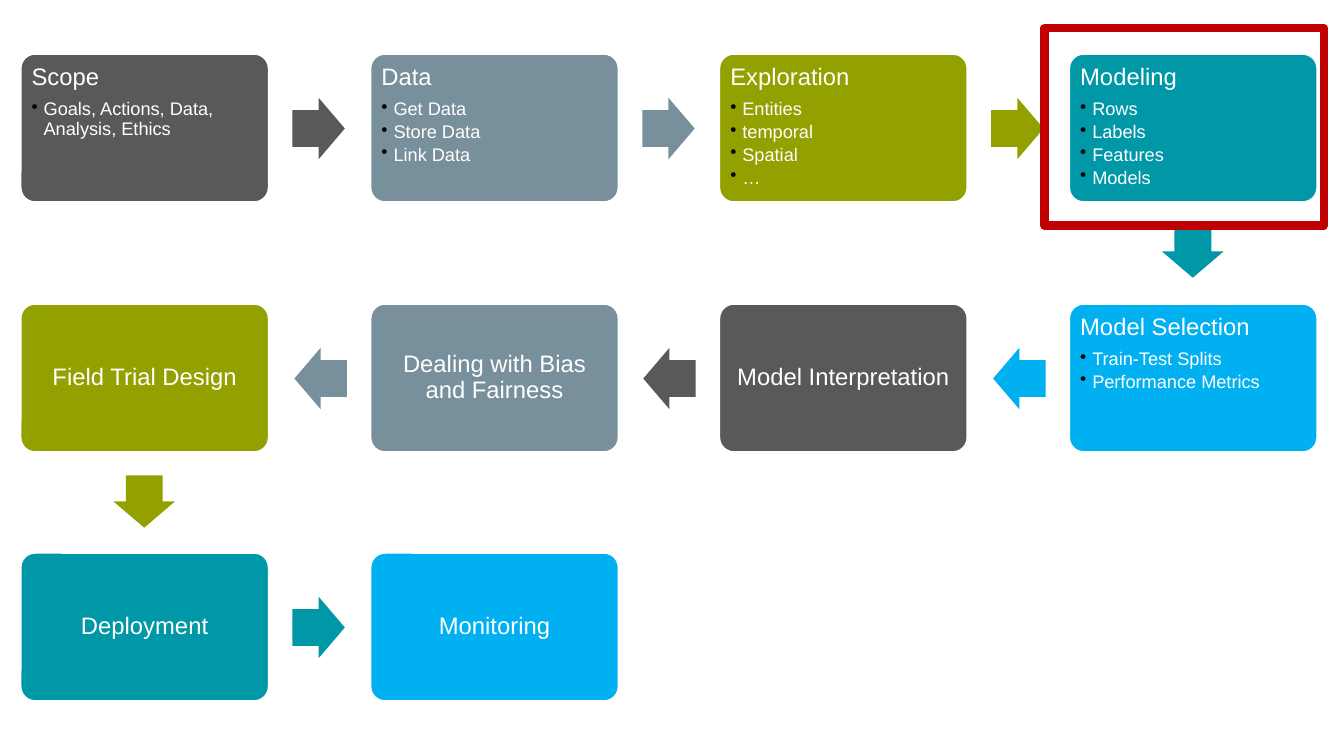
from dataclasses import dataclass

from lxml import etree
from pptx import Presentation
from pptx.dml.color import RGBColor
from pptx.enum.shapes import MSO_SHAPE as Shape
from pptx.enum.text import MSO_ANCHOR as Anchor, PP_ALIGN as Align
from pptx.oxml.ns import qn
from pptx.util import Emu, Pt

PX = 9144  # EMU per px, 100 px to the inch


@dataclass(frozen=True)
class Theme:
    font: str = "Arial"
    title_size: float = 17
    bullet_size: float = 13
    white: str = "FFFFFF"
    black: str = "000000"
    gray: str = "595959"
    slate: str = "78909C"
    olive: str = "92A000"
    teal: str = "0097A7"
    blue: str = "00B0F0"
    red: str = "C00000"


theme = Theme()

BOX_WIDTH, BOX_HEIGHT = 247, 148
ARROW_WIDTH, ARROW_HEIGHT = 52, 61
# Arrow offset from its box's corner, and rotation
ARROWS = {"right": (270, 44, 0), "down": (97, 166, 90), "left": (-75, 44, 180)}

# Column, row, colour, title, bullets, direction of the arrow to the next step
STEPS = [
    (0, 0, theme.gray, "Scope", ["Goals, Actions, Data, Analysis, Ethics"], "right"),
    (1, 0, theme.slate, "Data", ["Get Data", "Store Data", "Link Data"], "right"),
    (2, 0, theme.olive, "Exploration", ["Entities", "temporal", "Spatial", "…"], "right"),
    (3, 0, theme.teal, "Modeling", ["Rows", "Labels", "Features", "Models"], "down"),
    (3, 1, theme.blue, "Model Selection", ["Train-Test Splits", "Performance Metrics"], "left"),
    (2, 1, theme.gray, "Model Interpretation", [], "left"),
    (1, 1, theme.slate, "Dealing with Bias and Fairness", [], "left"),
    (0, 1, theme.olive, "Field Trial Design", [], "down"),
    (0, 2, theme.teal, "Deployment", [], "right"),
    (1, 2, theme.blue, "Monitoring", [], None),
]

deck = Presentation()
deck.slide_width, deck.slide_height = Emu(1333 * PX), Emu(750 * PX)
page = deck.slides.add_slide(deck.slide_layouts[6])


def add_block(kind, left, top, width, height, fill=None, line=None, line_width=0):
    """Add a preset shape, with no fill or no line where none is given."""
    block = page.shapes.add_shape(kind, *(Emu(n * PX) for n in (left, top, width, height)))
    block.shadow.inherit = False
    if fill:
        block.fill.solid()
        block.fill.fore_color.rgb = RGBColor.from_string(fill)
    else:
        block.fill.background()
    if line:
        block.line.color.rgb = RGBColor.from_string(line)
        block.line.width = Pt(line_width)
    else:
        block.line.fill.background()
    return block


def write(para, text, size, align, space_after):
    para.text = text
    para.alignment = align
    para.line_spacing = 0.9
    para.space_after = Pt(space_after)
    para.font.name = theme.font
    para.font.size = Pt(size)
    para.font.color.rgb = RGBColor.from_string(theme.white)


for column, row, color, title, bullets, direction in STEPS:
    left, top = round(20 + 346.6 * column), round(53 + 247.7 * row)
    box = add_block(Shape.ROUNDED_RECTANGLE, left, top, BOX_WIDTH, BOX_HEIGHT,
                    color, theme.white, 2)
    box.adjustments[0] = 0.1

    frame = box.text_frame
    frame.word_wrap = True
    frame.margin_left = frame.margin_right = Emu(7 * PX)
    frame.margin_top = frame.margin_bottom = Emu(7 * PX)
    frame.vertical_anchor = Anchor.TOP if bullets else Anchor.MIDDLE
    write(frame.paragraphs[0], title, theme.title_size,
          Align.LEFT if bullets else Align.CENTER, 6.8)

    for bullet in bullets:
        para = frame.add_paragraph()
        para.level = 1
        props = para._p.get_or_add_pPr()
        props.set("marL", str(12 * PX))
        props.set("indent", str(-12 * PX))
        bullet_color = etree.SubElement(props, qn("a:buClr"))
        etree.SubElement(bullet_color, qn("a:srgbClr"), val=theme.black)
        etree.SubElement(props, qn("a:buChar"), char="•")
        write(para, bullet, theme.bullet_size, Align.LEFT, 2.3)

    if direction:
        shift_x, shift_y, rotation = ARROWS[direction]
        arrow = add_block(Shape.RIGHT_ARROW, left + shift_x, top + shift_y,
                          ARROW_WIDTH, ARROW_HEIGHT, color)
        arrow.adjustments[0] = 0.6
        arrow.adjustments[1] = 0.5
        arrow.rotation = rotation

add_block(Shape.RECTANGLE, 1036, 28, 277, 196, line=theme.red, line_width=6)

deck.save("out.pptx")
